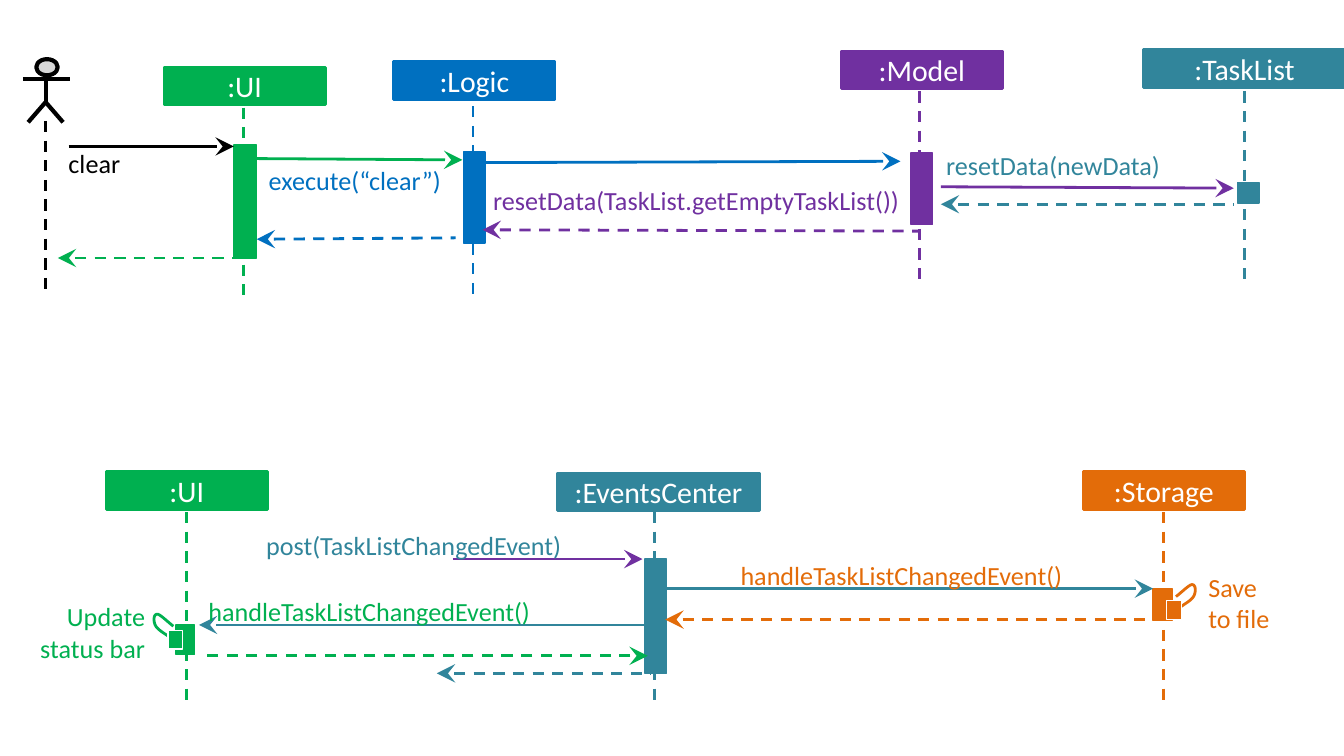
from dataclasses import dataclass

from lxml import etree
from pptx import Presentation
from pptx.dml.color import RGBColor
from pptx.enum.dml import MSO_LINE
from pptx.enum.shapes import MSO_CONNECTOR, MSO_SHAPE
from pptx.enum.text import MSO_ANCHOR, PP_ALIGN
from pptx.oxml.ns import qn
from pptx.util import Pt

PX = 9144
PAGE_WIDTH = 1000
DASH = MSO_LINE.DASH
STRAIGHT = MSO_CONNECTOR.STRAIGHT
RECTANGLE = MSO_SHAPE.RECTANGLE
ROUND = MSO_SHAPE.FLOWCHART_CONNECTOR
MIDDLE, TOP = MSO_ANCHOR.MIDDLE, MSO_ANCHOR.TOP
LEFT, CENTER, RIGHT = PP_ALIGN.LEFT, PP_ALIGN.CENTER, PP_ALIGN.RIGHT
HEAD_HEIGHT = 28
LIFELINE_LENGTH = 141


@dataclass(frozen=True)
class Theme:
    """Colours, font, type sizes and line widths."""
    font: str = "Calibri"
    head_size: int = 16
    label_size: int = 14
    thin: float = 0.75
    medium: float = 1.5
    thick: float = 2.25
    black: str = "000000"
    white: str = "FFFFFF"
    gray: str = "D8D8D8"
    green: str = "00B050"
    blue: str = "0070C0"
    purple: str = "7030A0"
    teal: str = "31859B"
    orange: str = "E36C09"


@dataclass(frozen=True)
class Box:
    """A rectangle in px that its parts are placed relative to."""
    left: int
    top: int
    width: int
    height: int

    def inner(self, left, top, width, height):
        """Return a box given relative to this one."""
        return Box(self.left + left, self.top + top, width, height)

    def point(self, x, y):
        """Return a relative point in EMU."""
        return round((self.left + x) * PX), round((self.top + y) * PX)

    def emu(self):
        """Return left, top, width and height in EMU."""
        return self.left * PX, self.top * PX, self.width * PX, self.height * PX


THEME = Theme()


def set_line(item, color, weight):
    """Give an item a solid outline."""
    item.line.color.rgb = RGBColor.from_string(color)
    item.line.width = Pt(weight)


def add_block(shapes, box, fill, line, weight, kind=RECTANGLE):
    """Add a filled shape without a shadow."""
    block = shapes.add_shape(kind, *box.emu())
    block.shadow.inherit = False
    block.fill.solid()
    block.fill.fore_color.rgb = RGBColor.from_string(fill)
    set_line(block, line, weight)
    return block


def add_line(shapes, box, start, end, color, weight=THEME.medium, dashed=False, arrow=None):
    """Add a straight line, with an arrowhead at headEnd or tailEnd if named."""
    line = shapes.add_connector(STRAIGHT, *box.point(*start), *box.point(*end))
    set_line(line, color, weight)
    if dashed:
        line.line.dash_style = DASH
    properties = line._element.spPr
    if arrow:
        outline = properties.find(qn("a:ln"))
        etree.SubElement(outline, qn(f"a:{arrow}"), type="stealth", w="lg", len="lg")
    etree.SubElement(properties, qn("a:effectLst"))


def add_path(shapes, box, points, color, weight):
    """Add an open unfilled outline through the points."""
    start, *rest = [box.point(*point) for point in points]
    builder = shapes.build_freeform(*start)
    builder.add_line_segments(rest, close=False)
    outline = builder.convert_to_shape()
    outline.shadow.inherit = False
    outline.fill.background()
    set_line(outline, color, weight)


def write(frame, lines, size, color, align, anchor):
    """Write lines into one paragraph of a text frame."""
    frame.word_wrap = True
    frame.vertical_anchor = anchor
    para = frame.paragraphs[0]
    para.alignment = align
    for index, text in enumerate(lines):
        if index:
            para.add_line_break()
        span = para.add_run()
        span.text = text
        span.font.name = THEME.font
        span.font.size = Pt(size)
        span.font.color.rgb = RGBColor.from_string(color)


def add_label(shapes, box, lines, color, align=LEFT):
    """Add a label without margins."""
    frame = shapes.add_textbox(*box.emu()).text_frame
    frame.margin_left = frame.margin_right = frame.margin_top = frame.margin_bottom = 0
    write(frame, lines, THEME.label_size, color, align, TOP)


def add_participant(shapes, box, name, color, head, lifeline, bar):
    """Add a named head, its lifeline and its activation bar."""
    left, top, width = head
    x, y = lifeline
    block = add_block(shapes, box.inner(left, top, width, HEAD_HEIGHT), color, color, THEME.medium)
    write(block.text_frame, [name], THEME.head_size, THEME.white, CENTER, MIDDLE)
    add_line(shapes, box, (x, y), (x, y + LIFELINE_LENGTH), color, dashed=True)
    add_block(shapes, box.inner(*bar), color, color, THEME.thin)


def add_actor(shapes, box):
    """Add a stick figure and its lifeline."""
    parts = shapes.add_group_shape().shapes
    add_block(parts, box.inner(10, 0, 16, 12), THEME.gray, THEME.black, THEME.thick, ROUND)
    add_line(parts, box, (17, 12), (17, 32), THEME.black, THEME.thick)
    add_path(parts, box, [(4, 47), (17, 32), (30, 47)], THEME.black, THEME.thick)
    add_line(parts, box, (0, 15), (35, 15), THEME.black, THEME.thick)
    add_line(shapes, box, (17, 46), (17, 177), THEME.black, dashed=True)


def curve(start, first, second, end, steps=12):
    """Return points along a cubic curve, without its start."""
    times = [step / steps for step in range(1, steps + 1)]
    return [tuple((1 - t) ** 3 * a + 3 * (1 - t) ** 2 * t * b + 3 * (1 - t) * t * t * c + t ** 3 * d
                  for a, b, c, d in zip(start, first, second, end)) for t in times]


def add_self_call(shapes, box, color, mirrored=False):
    """Add a loop that returns to a small nested bar."""
    parts = shapes.add_group_shape().shapes
    knots = [(11, 17), (7, 14), (3, 12), (1, 9), (-1, 6), (-1, 0), (2, 0), (4, 0), (9, 5), (14, 9)]
    points = knots[:1]
    for index in range(0, len(knots) - 1, 3):
        points += curve(*knots[index:index + 4])
    if mirrored:
        points = [(box.width - x, y) for x, y in points]
    add_path(parts, box, points, color, THEME.medium)
    bar = box.inner(0 if mirrored else box.width - 11, 12, 11, 14)
    add_block(parts, bar, color, THEME.white, THEME.thin)


def add_messages(shapes, box, calls, replies, labels):
    """Add solid calls, dashed replies and their labels."""
    for start, end, color in calls:
        add_line(shapes, box, start, end, color, arrow="tailEnd")
    for target, source, color in replies:
        add_line(shapes, box, target, source, color, dashed=True, arrow="headEnd")
    for area, text, color in labels:
        add_label(shapes, box.inner(*area), [text], color)


def add_clear_sequence(shapes, box):
    """Add the sequence that carries out the clear command."""
    green, blue, purple, teal = THEME.green, THEME.blue, THEME.purple, THEME.teal
    for participant in [
        (":UI", green, (122, 20, 120), (181, 50), (174, 78, 17, 84)),
        (":Logic", blue, (293, 16, 120), (352, 49), (345, 83, 16, 68)),
        (":Model", purple, (626, 8, 120), (684, 38), (678, 84, 16, 53)),
        (":TaskList", teal, (851, 7, 150), (926, 38), (921, 106, 16, 15)),
    ]:
        add_participant(shapes, box, *participant)
    add_actor(shapes, box.inner(17, 14, 35, 177))
    calls = [((51, 79), (174, 79), THEME.black), ((190, 88), (344, 89), green),
             ((355, 91), (670, 90), blue), ((700, 109), (918, 110), purple)]
    replies = [((359, 141), (683, 142), purple), ((191, 148), (339, 147), blue),
               ((43, 162), (174, 162), green), ((700, 122), (918, 122), teal)]
    labels = [((51, 80, 94, 18), "clear", THEME.black),
              ((200, 92, 156, 18), "execute(“clear”)", blue),
              ((367, 107, 310, 31), "resetData(TaskList.getEmptyTaskList())", purple),
              ((704, 81, 237, 24), "resetData(newData)", teal)]
    add_messages(shapes, box, calls, replies, labels)


def add_event_sequence(shapes, box):
    """Add the sequence that follows the change event."""
    green, teal, orange = THEME.green, THEME.teal, THEME.orange
    for participant in [
        (":Storage", orange, (806, 1, 120), (866, 31), (858, 88, 14, 24)),
        (":EventsCenter", teal, (415, 2, 150), (487, 31), (480, 66, 16, 85)),
        (":UI", green, (79, 1, 120), (139, 31), (131, 115, 14, 22)),
    ]:
        add_participant(shapes, box, *participant)
    calls = [((337, 66), (478, 66), THEME.purple), ((495, 88), (858, 88), teal),
             ((482, 115), (148, 115), teal)]
    replies = [((495, 111), (865, 111), orange), ((325, 151), (484, 151), teal),
               ((482, 138), (148, 138), green)]
    labels = [((198, 44, 297, 18), "post(TaskListChangedEvent)", teal),
              ((551, 66, 291, 18), "handleTaskListChangedEvent()", orange),
              ((155, 93, 291, 18), "handleTaskListChangedEvent()", green)]
    add_messages(shapes, box, calls, replies, labels)
    add_self_call(shapes, box.inner(115, 107, 21, 26), green)
    add_label(shapes, box.inner(21, 97, 87, 35), ["Update status bar"], green, RIGHT)
    add_self_call(shapes, box.inner(868, 85, 21, 26), orange, mirrored=True)
    add_label(shapes, box.inner(899, 75, 59, 35), ["Save ", "to file"], orange)


def main():
    """Build the deck and save it."""
    deck = Presentation()
    deck.slide_width = PAGE_WIDTH * PX
    deck.slide_height = deck.slide_width * 9 // 16
    page = deck.slides.add_slide(deck.slide_layouts[6])
    add_clear_sequence(page.shapes, Box(0, 30, PAGE_WIDTH, 191))
    add_event_sequence(page.shapes, Box(0, 350, PAGE_WIDTH, 173))
    deck.save("out.pptx")


if __name__ == "__main__":
    main()
